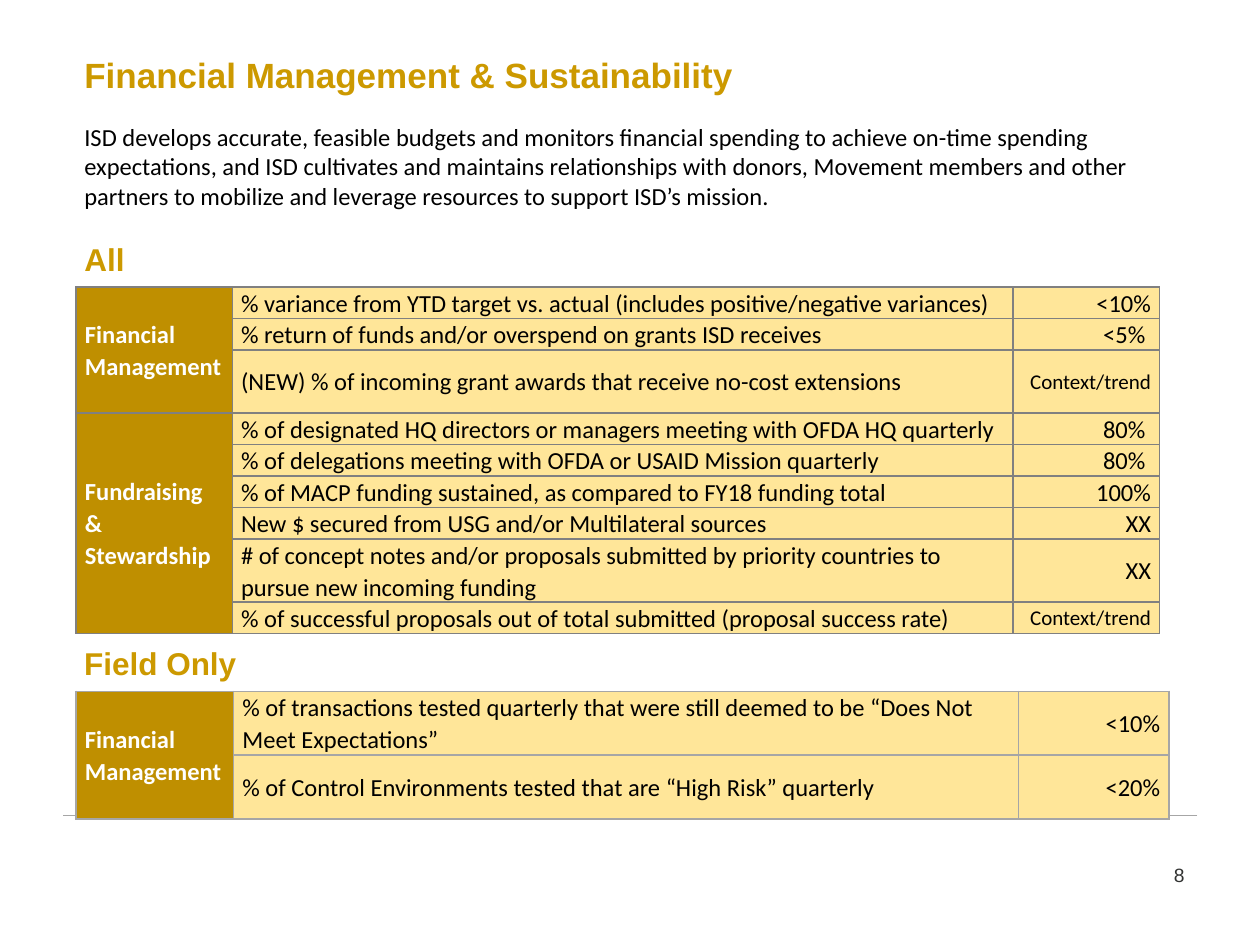
import pptx
import pptx.util
import pptx.dml.color
import pptx.enum.text
import pptx.enum.shapes
import pptx.oxml
import pptx.oxml.ns
from pptx.util import Pt

ALIGN = pptx.enum.text.PP_ALIGN
ANCHOR = pptx.enum.text.MSO_ANCHOR
GOLD, DARK_GOLD, PALE_GOLD = "CC9900", "BF8F00", "FFE699"


def color(value):
    return pptx.dml.color.RGBColor.from_string(value)


def add_run(p, text, size, name, rgb, bold=False):
    r = p.add_run()
    r.text = text
    r.font.size = Pt(size)
    r.font.name = name
    r.font.bold = bold
    r.font.color.rgb = color(rgb)


prs = pptx.Presentation()
prs.slide_width, prs.slide_height = Pt(720), Pt(540)
s = prs.slides.add_slide(prs.slide_layouts[5])

line = s.shapes.add_connector(
    pptx.enum.shapes.MSO_CONNECTOR.STRAIGHT, Pt(684), Pt(466), Pt(36), Pt(466))
line.line.color.rgb = color("A6A6A6")
line.line.width = Pt(0.75)
line._element.spPr.append(pptx.oxml.parse_xml(
    f'<a:effectLst {pptx.oxml.ns.nsdecls("a")}/>'))

title = s.shapes.title
title.left, title.top, title.width, title.height = Pt(41), Pt(23.5), Pt(648), Pt(142.5)
tf = title.text_frame
tf.word_wrap = True
tf.auto_size = pptx.enum.text.MSO_AUTO_SIZE.NONE
tf.vertical_anchor = ANCHOR.MIDDLE
intro = (
    "ISD develops accurate, feasible budgets and monitors financial spending to achieve "
    "on-time spending expectations, and ISD cultivates and maintains relationships with "
    "donors, Movement members and other partners to mobilize and leverage resources to "
    "support ISD’s mission."
)
title_parts = [
    ("Financial Management & Sustainability", 20, "Arial", GOLD, True, 15),
    (intro, 14, "Calibri", "000000", False, 17),
    ("All", 18, "Arial", GOLD, True, 0),
]
for i, (text, size, name, rgb, bold, gap) in enumerate(title_parts):
    p = tf.paragraphs[0] if i == 0 else tf.add_paragraph()
    p.alignment = ALIGN.LEFT
    p.space_before = Pt(0)
    p.space_after = Pt(gap)
    add_run(p, text, size, name, rgb, bold)

labels = [
    ("Field Only", 41, 364.5, 295, 29, 18, GOLD, True, ALIGN.LEFT),
    ("8", 516, 490, 168, 29, 11, "313231", False, ALIGN.RIGHT),
]
for text, x, y, w, h, size, rgb, bold, align in labels:
    tf = s.shapes.add_textbox(Pt(x), Pt(y), Pt(w), Pt(h)).text_frame
    tf.word_wrap = True
    tf.paragraphs[0].alignment = align
    add_run(tf.paragraphs[0], text, size, "Arial", rgb, bold)

field_groups = [
    ("Financial Management", [
        ("% of transactions tested quarterly that were still deemed to be "
         "“Does Not Meet Expectations”", "<10%", 36.5),
        ("% of Control Environments tested that are “High Risk” quarterly", "<20%", 36.5),
    ]),
]
all_groups = [
    ("Financial Management", [
        ("% variance from YTD target vs. actual (includes positive/negative variances)",
         "<10%", 18),
        ("% return of funds and/or overspend on grants ISD receives", "<5% ", 18),
        ("(NEW) % of incoming grant awards that receive no-cost extensions",
         "Context/trend", 36),
    ]),
    ("Fundraising & Stewardship", [
        ("% of designated HQ directors or managers meeting with OFDA HQ quarterly",
         "80% ", 18),
        ("% of delegations meeting with OFDA or USAID Mission quarterly", "80% ", 18),
        ("% of MACP funding sustained, as compared to FY18 funding total", "100%", 18),
        ("New $ secured from USG and/or Multilateral sources", "XX", 18),
        ("# of concept notes and/or proposals submitted by priority countries to "
         "pursue new incoming funding", "XX", 36),
        ("% of successful proposals out of total submitted (proposal success rate)",
         "Context/trend", 18),
    ]),
]
tables = [
    (field_groups, 395, (90, 448.5, 86), "A6A6A6"),
    (all_groups, 164, (89.25, 446, 84), "808080"),
]
for groups, top, widths, border in tables:
    rows = [row for _, group in groups for row in group]
    table = s.shapes.add_table(len(rows), 3, Pt(43.5), Pt(top), Pt(sum(widths)),
                               Pt(sum(row[2] for row in rows))).table
    for column, width in zip(table.columns, widths):
        column.width = Pt(width)
    for row, (_, _, height) in zip(table.rows, rows):
        row.height = Pt(height)

    for cell in table.iter_cells():
        tcPr = cell._tc.get_or_add_tcPr()
        for side in ("lnL", "lnR", "lnT", "lnB"):
            tcPr.append(pptx.oxml.parse_xml(
                f'<a:{side} {pptx.oxml.ns.nsdecls("a")} w="12700"><a:solidFill>'
                f'<a:srgbClr val="{border}"/></a:solidFill></a:{side}>'))
        cell.fill.solid()
        cell.fill.fore_color.rgb = color(PALE_GOLD)
        cell.vertical_anchor = ANCHOR.MIDDLE
        cell.margin_left = cell.margin_right = Pt(5)
        cell.margin_top = cell.margin_bottom = Pt(0)
        cell.text_frame.paragraphs[0].line_spacing = 1.07

    first = 0
    for heading, group in groups:
        last = first + len(group) - 1
        for i in range(first, last + 1):
            table.cell(i, 0).fill.fore_color.rgb = color(DARK_GOLD)
        table.cell(first, 0).merge(table.cell(last, 0))
        p = table.cell(first, 0).text_frame.paragraphs[0]
        add_run(p, heading, 14, "Calibri", "FFFFFF", True)
        first = last + 1

    for i, (measure, target, _) in enumerate(rows):
        add_run(table.cell(i, 1).text_frame.paragraphs[0], measure, 14, "Calibri", "000000")
        p = table.cell(i, 2).text_frame.paragraphs[0]
        p.alignment = ALIGN.RIGHT
        size = 12 if target == "Context/trend" else 14
        add_run(p, target, size, "Calibri", "000000")

prs.save("out.pptx")
